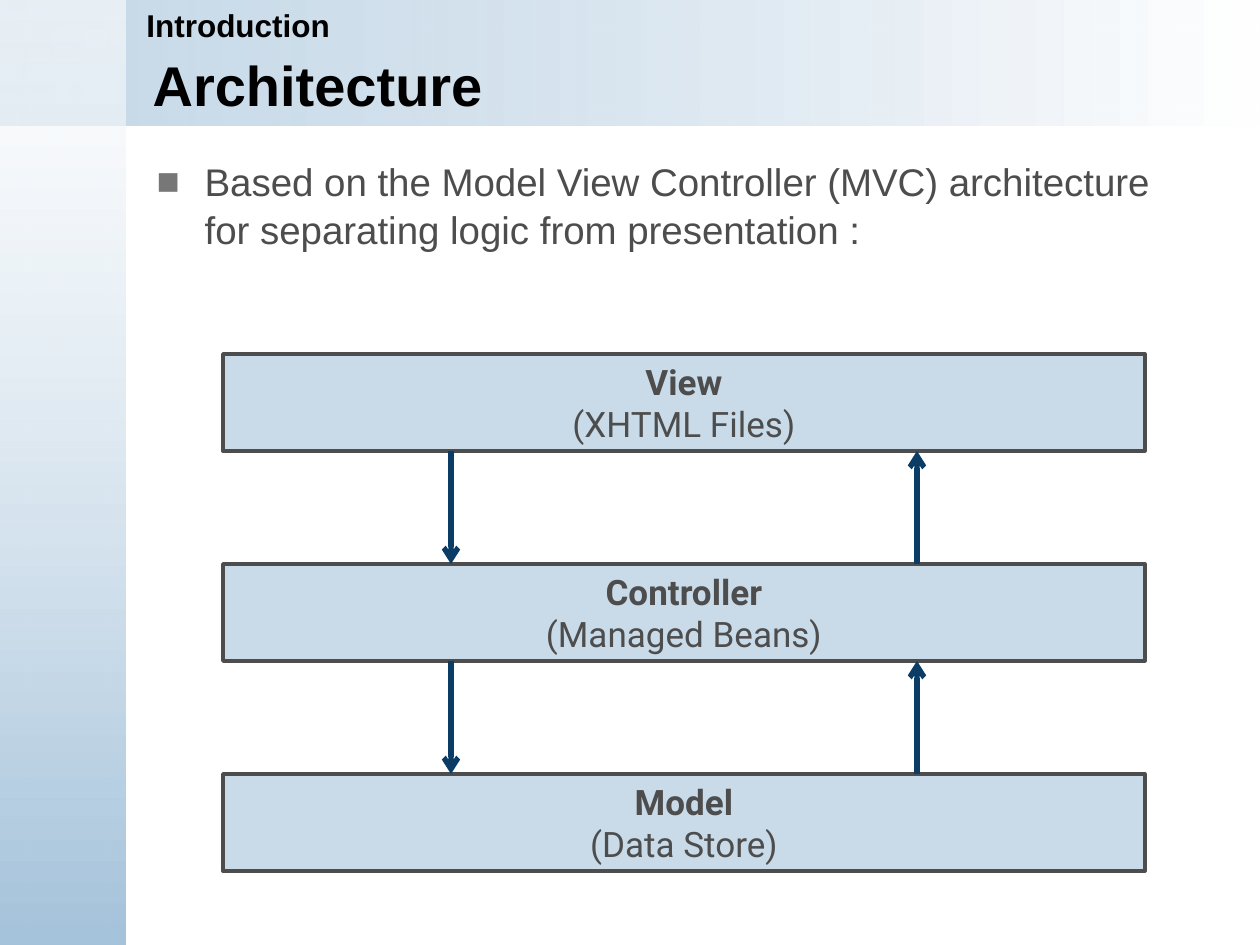
from dataclasses import dataclass
from lxml import etree
from pptx import Presentation
from pptx.dml.color import RGBColor
from pptx.enum.shapes import MSO_CONNECTOR, MSO_SHAPE
from pptx.enum.text import MSO_ANCHOR, MSO_AUTO_SIZE, PP_ALIGN
from pptx.oxml.ns import qn
from pptx.util import Pt

RECTANGLE = MSO_SHAPE.RECTANGLE
STRAIGHT = MSO_CONNECTOR.STRAIGHT
LEFT, CENTER = PP_ALIGN.LEFT, PP_ALIGN.CENTER
TOP, MIDDLE = MSO_ANCHOR.TOP, MSO_ANCHOR.MIDDLE
FIXED, GROW = MSO_AUTO_SIZE.NONE, MSO_AUTO_SIZE.SHAPE_TO_FIT_TEXT

PX_PER_INCH = 126
EMU_PER_INCH = 914400
COLORS = {
    "black": "000000",
    "text": "4D4D4D",
    "bullet": "777777",
    "box": "C9DBE9",
    "arrow": "0A3C66",
    "band": "A5C3DB",
    "white": "FFFFFF",
}
LAYERS = [
    ("View", "(XHTML Files)"),
    ("Controller", "(Managed Beans)"),
    ("Model", "(Data Store)"),
]
BOX_LEFT, BOX_TOP, BOX_WIDTH, BOX_HEIGHT, BOX_STEP = 223, 354, 922, 97, 210
DOWN_X, UP_X = 451, 917


def emu(pixels):
    return round(pixels * EMU_PER_INCH / PX_PER_INCH)


def color(name):
    return RGBColor.from_string(COLORS[name])


@dataclass
class SlideBuilder:
    page: object
    heading_font: str = "Arial"
    box_font: str = "Roboto"

    def place(self, shape, left, top, width, height):
        shape.left, shape.top = emu(left), emu(top)
        shape.width, shape.height = emu(width), emu(height)

    def frame(self, shape, anchor, fit):
        frame = shape.text_frame
        frame.word_wrap = True
        frame.auto_size = fit
        frame.vertical_anchor = anchor
        return frame

    def add_text(self, para, text, font, size, tone, bold=False, align=LEFT):
        para.alignment = align
        para.space_before = Pt(0)
        span = para.add_run()
        span.text = text
        span.font.name = font
        span.font.size = Pt(size)
        span.font.bold = bold
        span.font.color.rgb = color(tone)

    def band(self, bounds, stops, angle):
        band = self.page.shapes.add_shape(RECTANGLE, *map(emu, bounds))
        band.shadow.inherit = False
        band.line.fill.background()
        band.fill.gradient()
        band.fill.gradient_angle = angle
        for stop, (tone, opacity) in zip(band.fill.gradient_stops, stops):
            stop.color.rgb = color(tone)
        for element, (tone, opacity) in zip(band._element.iter(qn("a:srgbClr")), stops):
            etree.SubElement(element, qn("a:alpha"), val=str(opacity * 1000))
        self.page.shapes.title._element.addprevious(band._element)

    def title(self, text, *bounds):
        title = self.page.shapes.title
        self.place(title, *bounds)
        frame = self.frame(title, MIDDLE, FIXED)
        self.add_text(frame.paragraphs[0], text, self.heading_font, 32, "black", True)

    def bullet(self, text, *bounds):
        body = self.page.placeholders[1]
        self.place(body, *bounds)
        para = self.frame(body, TOP, FIXED).paragraphs[0]
        properties = para._p.get_or_add_pPr()
        properties.set("marL", str(emu(48)))
        properties.set("indent", str(-emu(48)))
        tint = etree.SubElement(properties, qn("a:buClr"))
        etree.SubElement(tint, qn("a:srgbClr"), val=COLORS["bullet"])
        etree.SubElement(properties, qn("a:buFont"), typeface=self.heading_font)
        etree.SubElement(properties, qn("a:buChar"), char="■")
        para.line_spacing = 1.04
        self.add_text(para, text, self.heading_font, 22, "text")

    def label(self, text, *bounds):
        label = self.page.shapes.add_textbox(*map(emu, bounds))
        frame = self.frame(label, TOP, GROW)
        self.add_text(frame.paragraphs[0], text, self.heading_font, 18, "black", True)

    def box(self, name, detail, *bounds):
        box = self.page.shapes.add_shape(RECTANGLE, *map(emu, bounds))
        box.shadow.inherit = False
        box.fill.solid()
        box.fill.fore_color.rgb = color("box")
        box.line.color.rgb = color("text")
        box.line.width = Pt(2)
        frame = self.frame(box, TOP, GROW)
        self.add_text(frame.paragraphs[0], name, self.box_font, 20, "text", True, CENTER)
        self.add_text(frame.add_paragraph(), detail, self.box_font, 20, "text", False, CENTER)

    def arrow(self, x, start, end):
        arrow = self.page.shapes.add_connector(STRAIGHT, *map(emu, (x, start, x, end)))
        arrow.line.color.rgb = color("arrow")
        arrow.line.width = Pt(3)
        etree.SubElement(arrow.line._get_or_add_ln(), qn("a:tailEnd"), type="arrow")
        etree.SubElement(arrow._element.spPr, qn("a:effectLst"))


def main():
    deck = Presentation()
    deck.slide_width, deck.slide_height = emu(1260), emu(945)
    builder = SlideBuilder(deck.slides.add_slide(deck.slide_layouts[1]))

    builder.band((0, 0, 1260, 126), [("band", 62), ("white", 100)], 0)
    builder.band((0, 0, 126, 945), [("white", 59), ("band", 100)], 270)
    builder.title("Architecture", 140, 26, 1065, 116)
    builder.bullet(
        "Based on the Model View Controller (MVC) architecture "
        "for separating logic from presentation :",
        144, 150, 1063, 640,
    )
    builder.label("Introduction", 134, 0, 1126, 50)

    for index, (name, detail) in enumerate(LAYERS):
        top = BOX_TOP + index * BOX_STEP
        builder.box(name, detail, BOX_LEFT, top, BOX_WIDTH, BOX_HEIGHT)
        if index:
            upper = top - BOX_STEP + BOX_HEIGHT
            builder.arrow(DOWN_X, upper, top)
            builder.arrow(UP_X, top, upper)

    deck.save("out.pptx")


if __name__ == "__main__":
    main()
